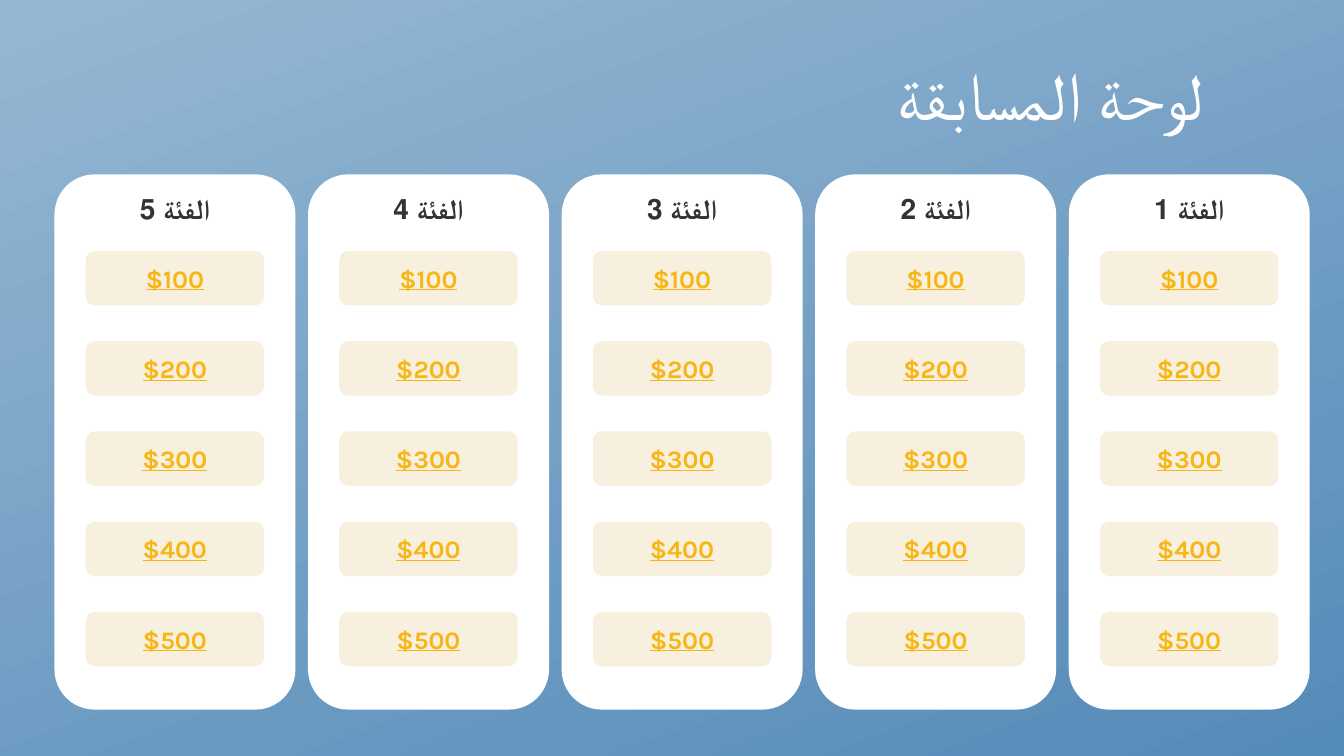
"""Builds a quiz board slide with five categories of five prize buttons."""
from pptx import Presentation
from pptx.dml.color import RGBColor
from pptx.enum.shapes import MSO_SHAPE
from pptx.enum.text import MSO_ANCHOR, PP_ALIGN
from pptx.util import Inches, Pt

CARD_SHAPE = MSO_SHAPE.FLOWCHART_ALTERNATE_PROCESS
TOP, MIDDLE = MSO_ANCHOR.TOP, MSO_ANCHOR.MIDDLE
CENTER, RIGHT = PP_ALIGN.CENTER, PP_ALIGN.RIGHT

WHITE = RGBColor(0xFF, 0xFF, 0xFF)
DARK = RGBColor(0x33, 0x33, 0x33)
CREAM = RGBColor(0xF7, 0xF0, 0xDE)
GOLD = RGBColor(0xF7, 0xB6, 0x15)
SKY = RGBColor(0x94, 0xB6, 0xD2)
BLUE = RGBColor(0x55, 0x8B, 0xB8)

TITLE_FONT = {"name": "Open Sans", "size": Pt(48), "color": WHITE}
CATEGORY_FONT = {"name": "Karla", "size": Pt(20), "bold": True, "color": DARK}
PRIZE_FONT = {"name": "Karla", "size": Pt(18), "bold": True,
              "underline": True, "color": GOLD}

COUNT = 5
CARD_LEFT, CARD_TOP, CARD_WIDTH, CARD_HEIGHT = 0.54, 1.73, 2.39, 5.31
COLUMN_STEP = (10.6 - CARD_LEFT) / (COUNT - 1)
BUTTON_TOP, BUTTON_WIDTH, BUTTON_HEIGHT = 2.49, 1.77, 0.54
BUTTON_LEFT = CARD_LEFT + (CARD_WIDTH - BUTTON_WIDTH) / 2
ROW_STEP = (6.07 - BUTTON_TOP) / (COUNT - 1)


class QuizBoard:
    """Holds the text styles and the slide being filled."""

    def __init__(self, slide):
        self.slide = slide

    def background(self, start, end, angle):
        """Fills the slide with a two-colour gradient."""
        fill = self.slide.background.fill
        fill.gradient()
        fill.gradient_angle = 360 - angle
        for stop, color, position in zip(fill.gradient_stops, (start, end), (0.02, 1)):
            stop.color.rgb = color
            stop.position = position

    def label(self, box, text, style, align, anchor, right_to_left):
        """Puts one formatted paragraph into a box."""
        frame = box.text_frame
        frame.word_wrap = True
        frame.vertical_anchor = anchor
        para = frame.paragraphs[0]
        para.alignment = align
        if right_to_left:
            para._p.get_or_add_pPr().set("rtl", "1")
        span = para.add_run()
        span.text = text
        for key, value in style.items():
            if key == "color":
                span.font.color.rgb = value
            else:
                setattr(span.font, key, value)
        return para

    def title(self, text, left, top, width, height):
        """Places and formats the title placeholder."""
        box = self.slide.shapes.title
        box.left, box.top = Inches(left), Inches(top)
        box.width, box.height = Inches(width), Inches(height)
        para = self.label(box, text, TITLE_FONT, RIGHT, MIDDLE, True)
        para.line_spacing = 0.9

    def panel(self, left, top, width, height, color):
        """Adds a borderless rounded panel."""
        box = self.slide.shapes.add_shape(
            CARD_SHAPE, Inches(left), Inches(top), Inches(width), Inches(height))
        box.shadow.inherit = False
        box.fill.solid()
        box.fill.fore_color.rgb = color
        box.line.fill.background()
        return box

    def category(self, column):
        """Adds the card of one category, numbered from the right."""
        box = self.panel(CARD_LEFT + column * COLUMN_STEP, CARD_TOP,
                         CARD_WIDTH, CARD_HEIGHT, WHITE)
        self.label(box, f"الفئة {COUNT - column}", CATEGORY_FONT, CENTER, TOP, True)

    def prize(self, column, row):
        """Adds one prize button."""
        box = self.panel(BUTTON_LEFT + column * COLUMN_STEP, BUTTON_TOP + row * ROW_STEP,
                         BUTTON_WIDTH, BUTTON_HEIGHT, CREAM)
        self.label(box, f"${(row + 1) * 100}", PRIZE_FONT, CENTER, MIDDLE, False)


def main():
    """Builds and saves the deck."""
    deck = Presentation()
    deck.slide_width, deck.slide_height = Inches(13.33), Inches(7.5)
    board = QuizBoard(deck.slides.add_slide(deck.slide_layouts[5]))
    board.background(SKY, BLUE, 70)
    board.title("لوحة المسابقة", 0.54, 0.25, 11.5, 1.45)
    for column in range(COUNT):
        board.category(column)
    for column in range(COUNT):
        for row in range(COUNT):
            board.prize(column, row)
    deck.save("out.pptx")


if __name__ == "__main__":
    main()
